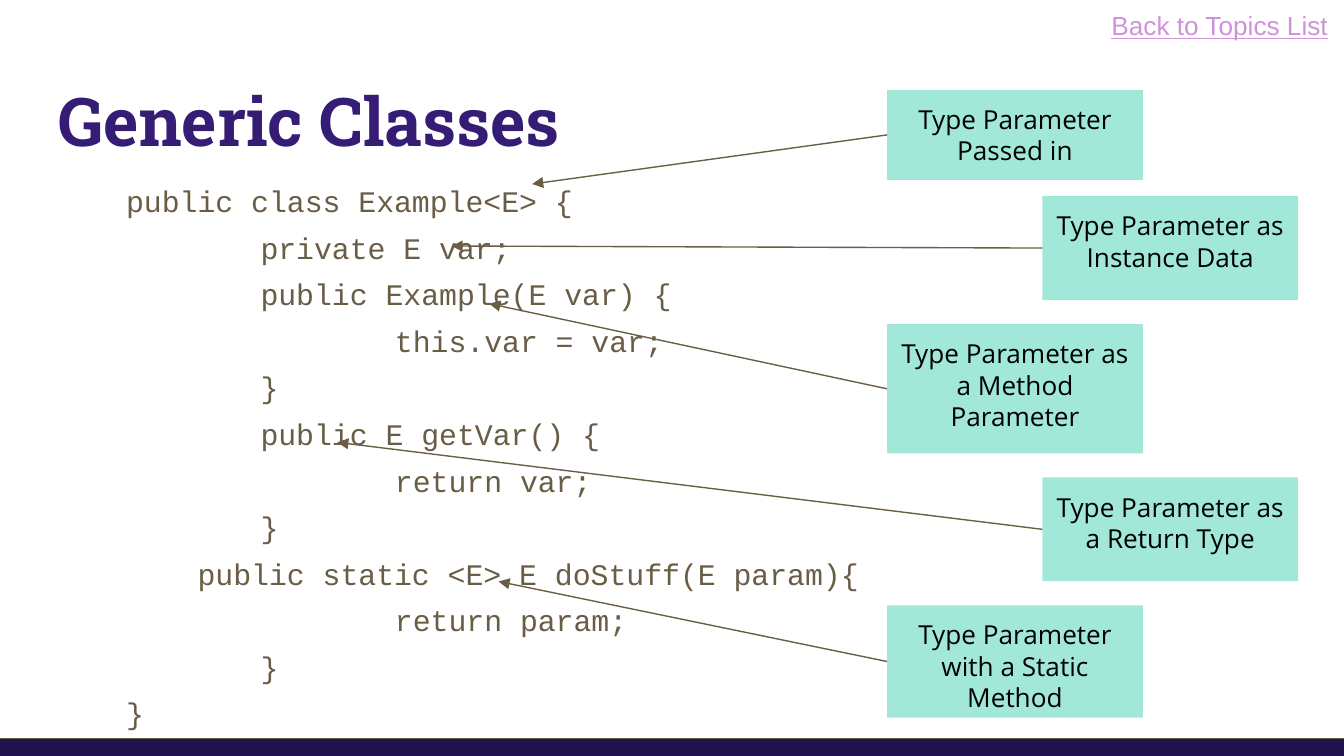
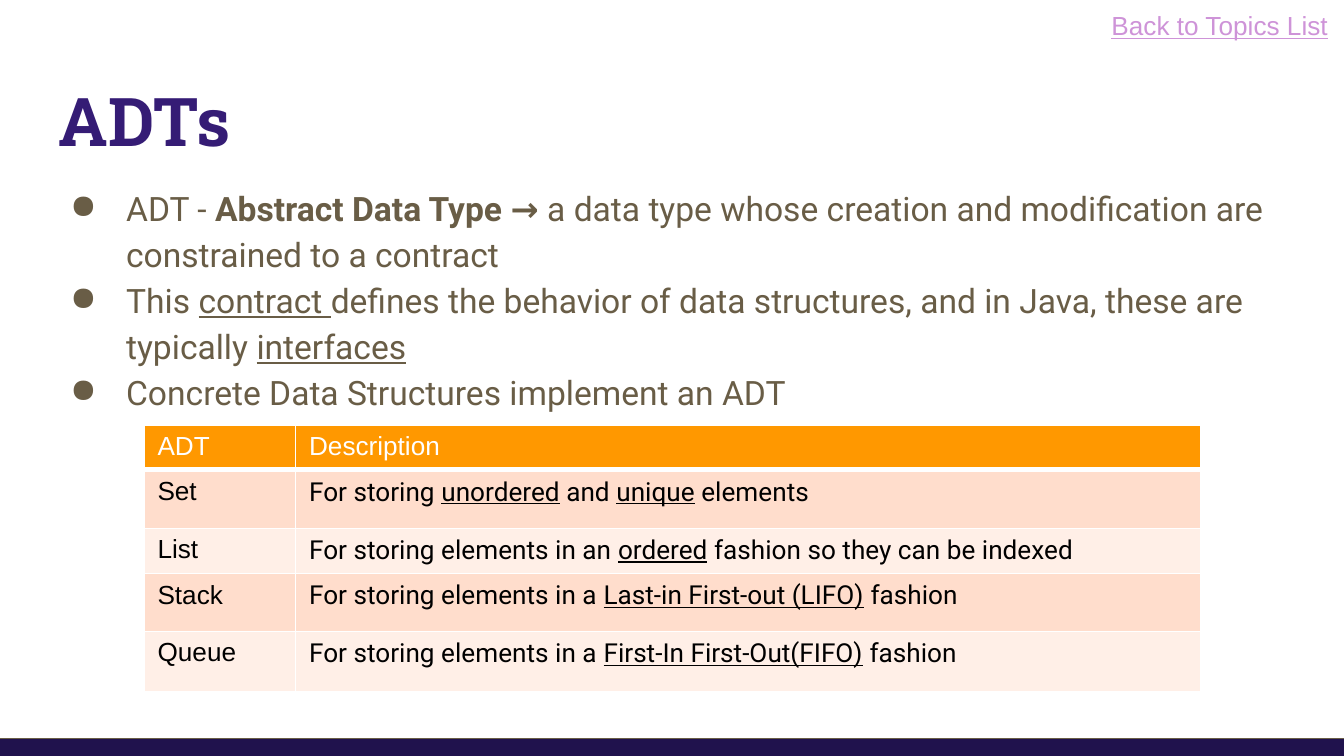
from lxml import etree
from pptx import Presentation
from pptx.dml.color import RGBColor
from pptx.enum.shapes import MSO_CONNECTOR, MSO_SHAPE
from pptx.enum.text import MSO_ANCHOR, PP_ALIGN
from pptx.oxml.ns import qn
from pptx.util import Pt

RECTANGLE = MSO_SHAPE.RECTANGLE
STRAIGHT = MSO_CONNECTOR.STRAIGHT
TOP = MSO_ANCHOR.TOP
LEFT, CENTER, RIGHT = PP_ALIGN.LEFT, PP_ALIGN.CENTER, PP_ALIGN.RIGHT

WHITE = RGBColor(0xFF, 0xFF, 0xFF)
BLACK = RGBColor(0x00, 0x00, 0x00)
PURPLE = RGBColor(0x35, 0x1C, 0x75)
NAVY = RGBColor(0x20, 0x12, 0x4D)
BROWN = RGBColor(0x69, 0x5D, 0x46)
MINT = RGBColor(0xA1, 0xE8, 0xD9)
LILAC = RGBColor(0xCE, 0x93, 0xD8)
ORANGE = RGBColor(0xFF, 0x98, 0x00)
BANDS = (RGBColor(0xFF, 0xDD, 0xCC), RGBColor(0xFF, 0xEF, 0xE7))

LEFT_EDGE = 24.5
LEFT_SITE = 1

CODE = """public class Example<E> {
\tprivate E var;
\tpublic Example(E var) {
\t\tthis.var = var;
\t}
\tpublic E getVar() {
\t\treturn var;
\t}
    public static <E> E doStuff(E param){
\t\treturn param;
\t}
}"""

# Text, left, top and height of each callout, then the tip of its arrow
CALLOUTS = [
    ("Type Parameter Passed in", 475.2, 48.2, 48.2, (285.1, 98.6)),
    ("Type Parameter as Instance Data", 558.4, 105.1, 55.6, (241.9, 131.8)),
    ("Type Parameter as a Method Parameter", 475.2, 173.7, 69.2, (262.1, 162.7)),
    ("Type Parameter as a Return Type", 558.4, 255.8, 55.6, (180.7, 237.0)),
    ("Type Parameter with a Static Method", 475.2, 324.3, 60.2, (267.1, 311.5)),
]

# Each span is a text and its style: "b" bold, "u" underlined
BULLETS = [
    [("ADT - ", ""), ("Abstract Data Type → ", "b"),
     ("a data type whose creation and modification are constrained to a contract", "")],
    [("This ", ""), ("contract ", "u"),
     ("defines the behavior of data structures, and in Java, these are typically ", ""),
     ("interfaces", "u")],
    [("Concrete Data Structures implement an ADT", "")],
]

ADT_ROWS = [
    ("Set", [("For storing ", ""), ("unordered", "u"), (" and ", ""),
             ("unique", "u"), (" elements", "")]),
    ("List", [("For storing elements in an ", ""), ("ordered", "u"),
              (" fashion so they can be indexed", "")]),
    ("Stack", [("For storing elements in a ", ""), ("Last-in First-out (LIFO)", "u"),
               (" fashion", "")]),
    ("Queue", [("For storing elements in a ", ""), ("First-In First-Out(FIFO)", "u"),
               (" fashion", "")]),
]
COLUMN_WIDTHS = (81.2, 484.8)
ROW_HEIGHTS = (22, 31.3, 24.3, 31, 32.2)


class Deck:
    def __init__(self):
        self.deck = Presentation()
        self.deck.slide_width, self.deck.slide_height = Pt(720), Pt(405)
        self.page = None

    def new_page(self, title):
        self.page = self.deck.slides.add_slide(self.deck.slide_layouts[6])
        frame = self.text_box(LEFT_EDGE, 35.3, 671, 55.4)
        self.add_spans(frame.paragraphs[0], [(title, "b")], "Roboto Slab", 36, PURPLE)

    def prepare(self, frame, margin=7.2):
        frame.word_wrap = True
        frame.vertical_anchor = TOP
        frame.margin_top = frame.margin_bottom = Pt(margin)
        return frame

    def text_box(self, left, top, width, height, margin=7.2):
        box = self.page.shapes.add_textbox(Pt(left), Pt(top), Pt(width), Pt(height))
        return self.prepare(box.text_frame, margin)

    def add_spans(self, para, spans, font, size, color, align=LEFT):
        para.alignment = align
        for text, style in spans:
            span = para.add_run()
            span.text = text
            span.font.name, span.font.size = font, Pt(size)
            span.font.color.rgb = color
            span.font.bold = "b" in style
            span.font.underline = "u" in style

    def paragraphs(self, frame, lines, font, size, spacing, indent=0, bullet=None):
        """Add one paragraph per list of spans, with a half-inch left margin."""
        for number, spans in enumerate(lines):
            para = frame.add_paragraph() if number else frame.paragraphs[0]
            para.line_spacing = spacing
            props = para._p.get_or_add_pPr()
            props.set("marL", str(Pt(36)))
            props.set("indent", str(Pt(indent)))
            props.set("defTabSz", str(Pt(72)))
            if bullet:
                tint = etree.SubElement(props, qn("a:buClr"))
                etree.SubElement(tint, qn("a:srgbClr"), val=str(BROWN))
                etree.SubElement(props, qn("a:buChar"), char=bullet)
            self.add_spans(para, spans, font, size, BROWN)

    def rectangle(self, left, top, width, height, fill, line=None):
        shape = self.page.shapes.add_shape(
            RECTANGLE, Pt(left), Pt(top), Pt(width), Pt(height))
        shape.shadow.inherit = False
        shape.fill.solid()
        shape.fill.fore_color.rgb = fill
        if line is None:
            shape.line.fill.background()
        else:
            shape.line.color.rgb, shape.line.width = line, Pt(0.75)
        return shape

    def callout(self, text, left, top, height):
        shape = self.rectangle(left, top, 137.1, height, MINT)
        frame = self.prepare(shape.text_frame)
        self.add_spans(frame.paragraphs[0], [(text, "")], "Open Sans", 14, BLACK, CENTER)
        return shape

    def arrow(self, source, tip):
        """Point from the left side of the source shape to the tip."""
        x, y = tip
        line = self.page.shapes.add_connector(STRAIGHT, 0, 0, Pt(x), Pt(y))
        line.begin_connect(source, LEFT_SITE)
        line.line.color.rgb, line.line.width = BROWN, Pt(0.75)
        etree.SubElement(line.line._get_or_add_ln(), qn("a:tailEnd"), type="triangle")
        etree.SubElement(line._element.spPr, qn("a:effectLst"))

    def band(self):
        self.rectangle(-7.2, 395.5, 728.6, 15.8, NAVY, BROWN)

    def back_label(self):
        frame = self.text_box(581, 1.4, 137.5, 24.5, margin=3.6)
        self.add_spans(frame.paragraphs[0], [("Back to Topics List", "u")],
                       "Arial", 14, LILAC, RIGHT)

    def borders(self, cell, bottom, top):
        props = cell._tc.get_or_add_tcPr()
        for side, width in (("L", 1), ("R", 1), ("T", top), ("B", bottom)):
            edge = etree.SubElement(props, qn(f"a:ln{side}"), w=str(Pt(width)))
            fill = etree.SubElement(edge, qn("a:solidFill"))
            etree.SubElement(fill, qn("a:srgbClr"), val=str(WHITE))

    def table(self, left, top, header, rows):
        table = self.page.shapes.add_table(
            len(rows) + 1, len(header), Pt(left), Pt(top),
            Pt(sum(COLUMN_WIDTHS)), Pt(sum(ROW_HEIGHTS))).table
        table.first_row = table.horz_banding = False
        for column, width in zip(table.columns, COLUMN_WIDTHS):
            column.width = Pt(width)
        for row, height in zip(table.rows, ROW_HEIGHTS):
            row.height = Pt(height)
        lines = [[[(text, "")] for text in header]]
        lines += [[[(name, "")], spans] for name, spans in rows]
        for r, line in enumerate(lines):
            for c, spans in enumerate(line):
                cell = table.cell(r, c)
                self.borders(cell, 1 if r else 3, 3 if r == 1 else 1)
                cell.fill.solid()
                cell.fill.fore_color.rgb = BANDS[(r - 1) % 2] if r else ORANGE
                self.add_spans(cell.text_frame.paragraphs[0], spans,
                               "Roboto" if r and c else "Arial", 14,
                               BLACK if r else WHITE)


def generic_classes(deck):
    deck.new_page("Generic Classes")
    frame = deck.text_box(LEFT_EDGE, 85, 459.4, 320.4)
    lines = [[(line, "")] for line in CODE.splitlines()]
    deck.paragraphs(frame, lines, "Courier New", 16, 1.3)
    deck.band()
    for text, left, top, height, tip in CALLOUTS:
        deck.arrow(deck.callout(text, left, top, height), tip)
    deck.back_label()


def adts(deck):
    deck.new_page("ADTs")
    frame = deck.text_box(LEFT_EDGE, 90.7, 671, 260)
    deck.paragraphs(frame, BULLETS, "Roboto", 18, 1.14, indent=-30, bullet="●")
    deck.band()
    deck.table(77.2, 227.7, ("ADT", "Description"), ADT_ROWS)
    deck.back_label()


def main():
    deck = Deck()
    generic_classes(deck)
    adts(deck)
    deck.deck.save("out.pptx")


if __name__ == "__main__":
    main()
